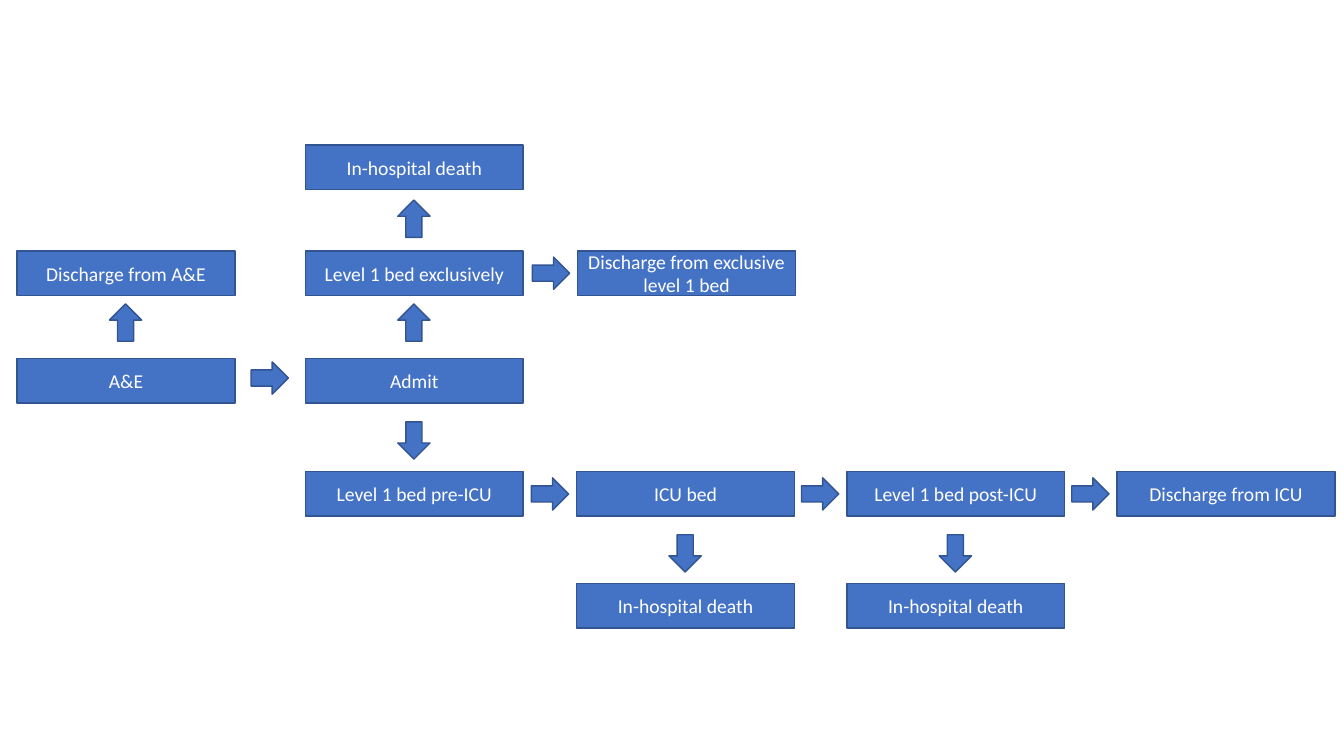
from pptx import Presentation
from pptx.dml.color import RGBColor
from pptx.enum.shapes import MSO_SHAPE as SHAPE
from pptx.enum.text import MSO_ANCHOR as ANCHOR, PP_ALIGN as ALIGN
from pptx.util import Pt

PX = 9144  # 100 px to the inch
BLUE = RGBColor(0x44, 0x72, 0xC4)
EDGE = RGBColor(0x32, 0x54, 0x91)
WHITE = RGBColor(0xFF, 0xFF, 0xFF)

BOX_W, BOX_H = 216, 44
ARROW_W, ARROW_H = 37, 32
RIGHT, DOWN, UP = 0, 90, 270

# Grid: left edges of columns, top edges of rows
AE, ADMIT, ICU, POST, OUT = 17, 303, 572, 840, 1108
DEATH, EXCLUSIVE, ENTRY, CARE, ICU_DEATH = 144, 249, 356, 468, 579

prs = Presentation()
prs.slide_width, prs.slide_height = 1333 * PX, 750 * PX
s = prs.slides.add_slide(prs.slide_layouts[6])


def add_block(kind, x, y, w, h):
    sp = s.shapes.add_shape(kind, x * PX, y * PX, w * PX, h * PX)
    sp.shadow.inherit = False
    sp.fill.solid()
    sp.fill.fore_color.rgb = BLUE
    sp.line.color.rgb = EDGE
    sp.line.width = Pt(1)
    return sp


# Patient states
states = [
    ("A&E", AE, ENTRY),
    ("Discharge from A&E", AE, EXCLUSIVE),
    ("Admit", ADMIT, ENTRY),
    ("Level 1 bed exclusively", ADMIT, EXCLUSIVE),
    ("Discharge from exclusive level 1 bed", ICU + 1, EXCLUSIVE),
    ("In-hospital death", ADMIT, DEATH),
    ("Level 1 bed pre-ICU", ADMIT, CARE),
    ("ICU bed", ICU, CARE),
    ("Level 1 bed post-ICU", POST, CARE),
    ("Discharge from ICU", OUT, CARE),
    ("In-hospital death", ICU, ICU_DEATH),
    ("In-hospital death", POST, ICU_DEATH),
]
for label, x, y in states:
    tf = add_block(SHAPE.RECTANGLE, x, y, BOX_W, BOX_H).text_frame
    tf.word_wrap = True
    tf.vertical_anchor = ANCHOR.MIDDLE
    p = tf.paragraphs[0]
    p.alignment = ALIGN.CENTER
    r = p.add_run()
    r.text = label
    r.font.name = "Calibri"
    r.font.size = Pt(14)
    r.font.color.rgb = WHITE

# Transitions: horizontal arrows lead into a column, vertical ones are centred on it
mid = (BOX_W - ARROW_W) // 2
into = -45
level = (BOX_H - ARROW_H) // 2
arrows = [
    (ADMIT - 54, ENTRY + 3, RIGHT),
    (ICU + into + 1, EXCLUSIVE + level, RIGHT),
    (ICU + into, CARE + level, RIGHT),
    (POST + into, CARE + level, RIGHT),
    (OUT + into, CARE + level, RIGHT),
    (AE + mid, 304, UP),
    (ADMIT + mid, 304, UP),
    (ADMIT + mid, 201, UP),
    (ADMIT + mid, 421, DOWN),
    (ICU + mid, 533, DOWN),
    (POST + mid, 533, DOWN),
]
for x, y, turn in arrows:
    add_block(SHAPE.RIGHT_ARROW, x, y, ARROW_W, ARROW_H).rotation = turn

prs.save("out.pptx")
